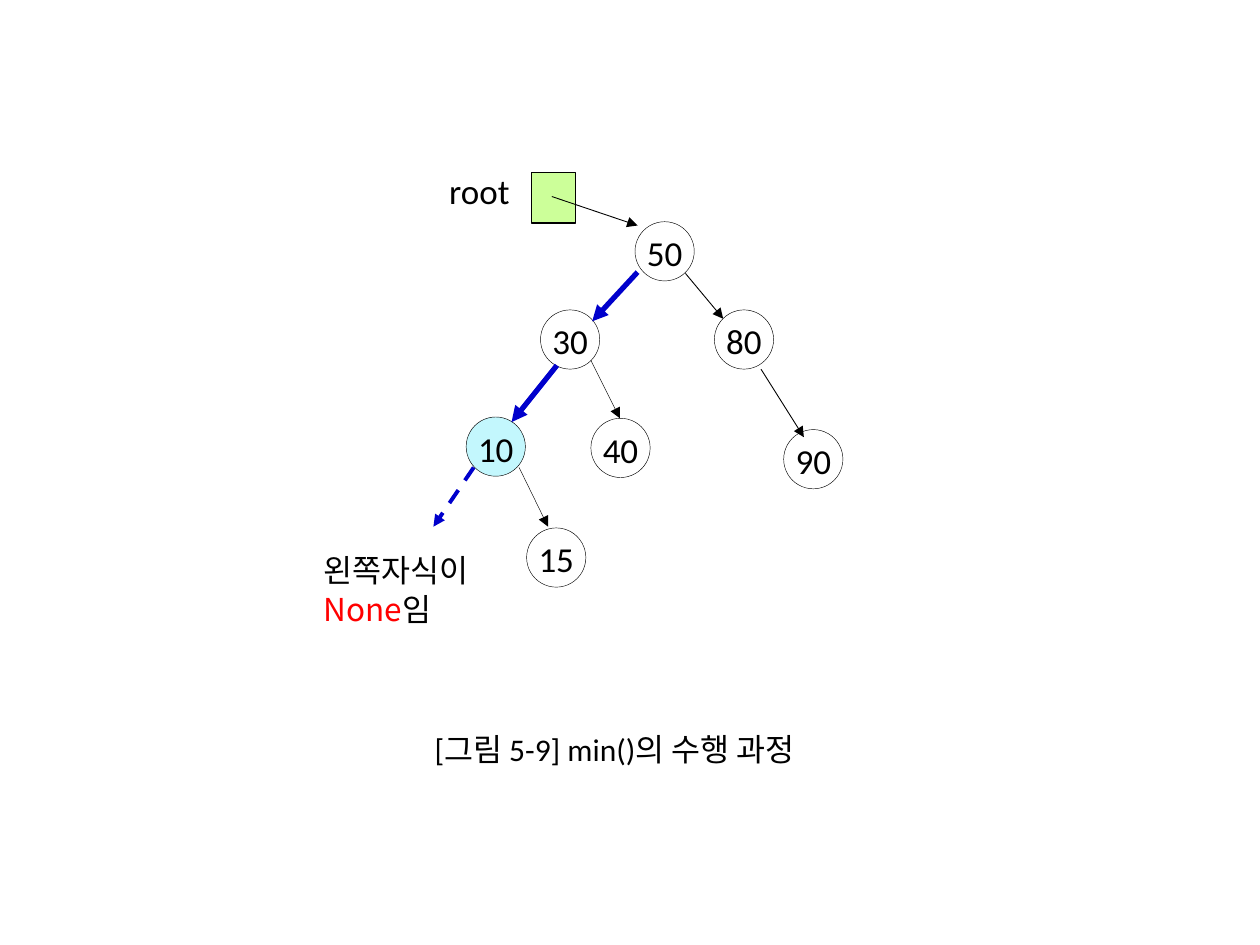
"""Build the slide showing how min() walks down a binary search tree."""
from lxml.etree import SubElement
from pptx import Presentation
from pptx.dml.color import RGBColor
from pptx.enum.dml import MSO_LINE
from pptx.enum.shapes import MSO_CONNECTOR, MSO_SHAPE as SHAPE
from pptx.enum.text import PP_ALIGN as ALIGN
from pptx.oxml.ns import qn
from pptx.util import Inches, Pt

BLACK = RGBColor(0x00, 0x00, 0x00)
RED = RGBColor(0xFF, 0x00, 0x00)
PATH_BLUE = RGBColor(0x00, 0x00, 0xCC)
MIN_CYAN = RGBColor(0xC3, 0xF7, 0xFD)
ROOT_GREEN = RGBColor(0xCC, 0xFF, 0x99)
LATIN, KOREAN = "Calibri", "Noto Sans CJK KR"
DIAMETER = 0.47

prs = Presentation()
prs.slide_width, prs.slide_height = Inches(10), Inches(7.5)
slide = prs.slides.add_slide(prs.slide_layouts[6])
shapes = slide.shapes


def add_outline(kind, box, fill, width):
    outline = shapes.add_shape(kind, *map(Inches, box))
    outline.shadow.inherit = False
    if fill is None:
        outline.fill.background()
    else:
        outline.fill.solid()
        outline.fill.fore_color.rgb = fill
    outline.line.color.rgb = BLACK
    outline.line.width = Pt(width)


def add_text(box, lines, size, font=LATIN, align=ALIGN.LEFT, spacing=None, wrap=True):
    frame = shapes.add_textbox(*map(Inches, box)).text_frame
    frame.word_wrap = wrap
    for index, line in enumerate(lines):
        paragraph = frame.add_paragraph() if index else frame.paragraphs[0]
        paragraph.alignment = align
        paragraph.line_spacing = spacing
        for words, color in line:
            run = paragraph.add_run()
            run.text = words
            run.font.size = Pt(size)
            run.font.name = font
            run.font.color.rgb = color
            SubElement(run.font._element, qn("a:ea"), typeface=KOREAN)


nodes = [
    ("50", 5.04, 1.76, None),
    ("80", 5.67, 2.46, None),
    ("30", 4.29, 2.46, None),
    ("10", 3.70, 3.31, MIN_CYAN),
    ("40", 4.69, 3.32, None),
    ("90", 6.22, 3.41, None),
    ("15", 4.18, 4.19, None),
]
for key, left, top, fill in nodes:
    add_outline(SHAPE.OVAL, (left, top, DIAMETER, DIAMETER), fill, 0.25)
    add_text((left - 0.04, top + 0.03, 0.55, 0.44), [[(key, BLACK)]], 20, align=ALIGN.CENTER)

add_outline(SHAPE.RECTANGLE, (4.22, 1.37, 0.35, 0.40), ROOT_GREEN, 0.75)
add_text((3.31, 1.30, 0.99, 0.44), [[("root", BLACK)]], 20, align=ALIGN.CENTER)

links = [
    (4.38, 1.56, 5.06, 1.79, BLACK, 0.5, None),
    (5.06, 2.16, 4.70, 2.55, PATH_BLUE, 3, None),
    (5.44, 2.17, 5.74, 2.53, BLACK, 0.5, None),
    (4.42, 2.90, 4.06, 3.35, PATH_BLUE, 3, None),
    (4.69, 2.86, 4.92, 3.32, BLACK, 0.25, None),
    (6.04, 2.93, 6.38, 3.47, BLACK, 0.5, None),
    (3.76, 3.71, 3.44, 4.18, PATH_BLUE, 2.25, MSO_LINE.DASH),
    (4.12, 3.71, 4.35, 4.18, BLACK, 0.25, None),
]
for *ends, color, width, dash in links:
    link = shapes.add_connector(MSO_CONNECTOR.STRAIGHT, *map(Inches, ends))
    link.line.color.rgb = color
    link.line.width = Pt(width)
    if dash:
        link.line.dash_style = dash
    SubElement(link.line._get_or_add_ln(), qn("a:tailEnd"), type="triangle")
    SubElement(link._element.spPr, qn("a:effectLst"))

no_left_child = [[("왼쪽자식이", BLACK)], [("None", RED), ("임", BLACK)]]
add_text((2.47, 4.32, 1.95, 0.71), no_left_child, 18, font=KOREAN, spacing=Pt(22))

caption = [[("[그림 5-9] min()의 수행 과정", BLACK)]]
add_text((3.35, 5.74, 3.29, 0.40), caption, 18, spacing=Pt(22), wrap=False)

prs.save("out.pptx")
